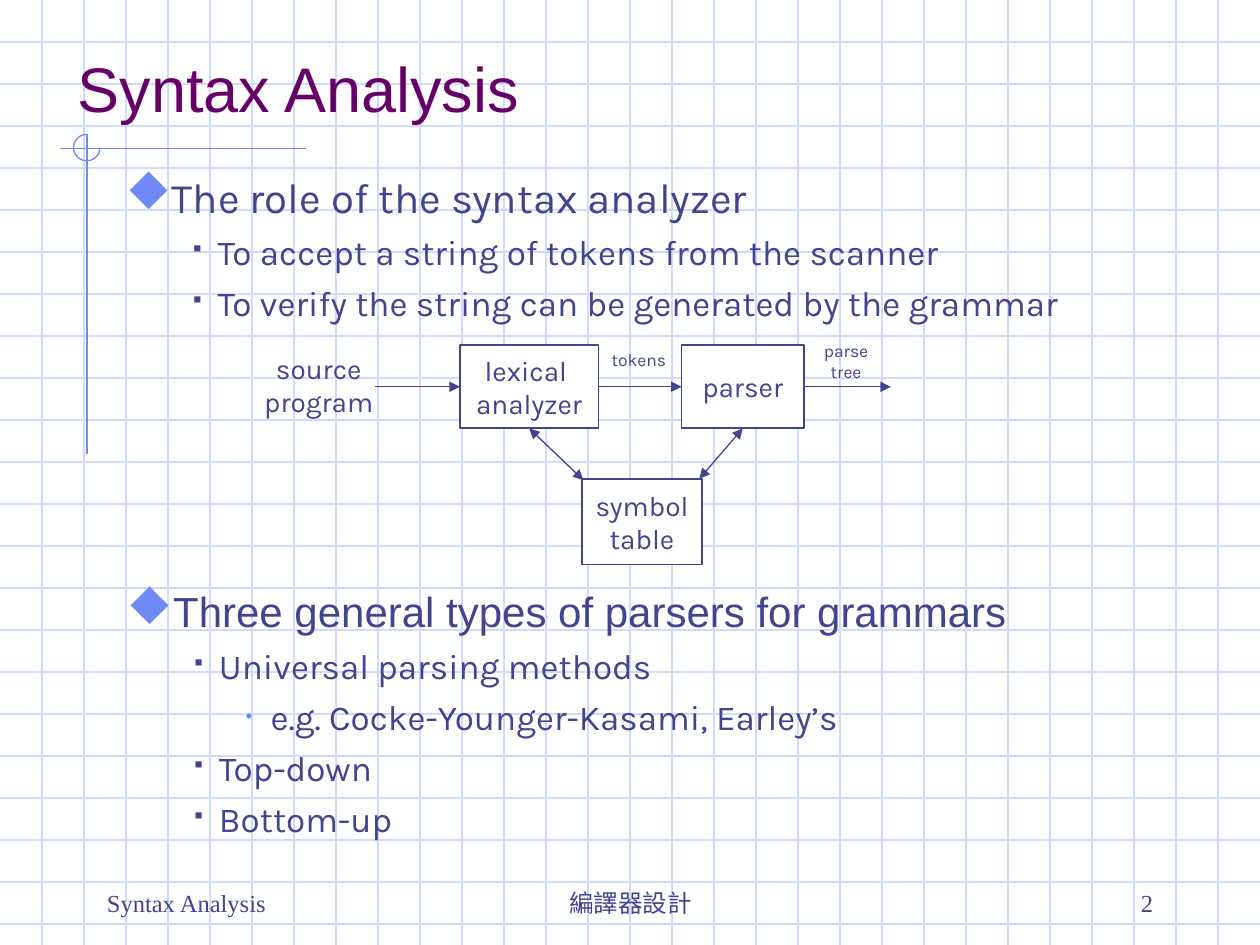
from typing import NamedTuple

from lxml import etree
from pptx import Presentation
from pptx.dml.color import RGBColor
from pptx.enum.shapes import MSO_CONNECTOR, MSO_SHAPE
from pptx.enum.text import MSO_ANCHOR, PP_ALIGN
from pptx.oxml.ns import qn
from pptx.util import Inches, Pt

STRAIGHT = MSO_CONNECTOR.STRAIGHT
RECTANGLE, ARC = MSO_SHAPE.RECTANGLE, MSO_SHAPE.ARC
TOP, MIDDLE, BOTTOM = MSO_ANCHOR.TOP, MSO_ANCHOR.MIDDLE, MSO_ANCHOR.BOTTOM
LEFT, CENTER, RIGHT = PP_ALIGN.LEFT, PP_ALIGN.CENTER, PP_ALIGN.RIGHT
SIDE_LEFT, SIDE_BOTTOM, SIDE_RIGHT = 1, 2, 3

COLORS = {"grid": "CFDBFD", "accent": "6F89F7", "ink": "40458C",
          "title": "660066", "paper": "FFFFFF"}
SANS, BODY, SERIF = "Arial", "Karla", "Times New Roman"
SYMBOLS = {"typeface": "Wingdings", "charset": "2"}
COLUMNS, ROWS = 30, 22.5
CELL = Inches(10) / COLUMNS

LEVELS = [
    {"size": 24, "before": 6, "bullet": "u", "face": SYMBOLS, "color": "accent",
     "percent": 110, "margin": 0.32, "hang": 0.32},
    {"size": 20, "before": 5, "bullet": "§", "face": SYMBOLS, "color": "ink",
     "percent": 60, "margin": 0.73, "hang": 0.2},
    {"size": 20, "before": 5, "bullet": "•", "face": {"typeface": SERIF}, "color": "accent",
     "percent": 60, "margin": 1.14, "hang": 0.2},
]


class Box(NamedTuple):
    """A region measured in columns and rows of the page grid."""
    left: float
    top: float
    width: float
    height: float

    def inner(self, left, top, width, height):
        """Return a region placed relative to this one."""
        return Box(self.left + left, self.top + top, width, height)


def cells(*values):
    """Turn grid units into slide lengths."""
    return [round(value * CELL) for value in values]


def color(name):
    """Look up a named colour."""
    return RGBColor.from_string(COLORS[name])


def style_text(para, size, face, ink="ink", align=LEFT):
    """Format a paragraph and its runs."""
    para.alignment = align
    for span in para.runs:
        span.font.size, span.font.name = Pt(size), face
        span.font.color.rgb = color(ink)


def add_text(page, box, text, size, face, ink="ink", align=LEFT, anchor=TOP):
    """Place a wrapped text box."""
    frame = page.shapes.add_textbox(*cells(*box)).text_frame
    frame.word_wrap, frame.vertical_anchor = True, anchor
    frame.text = text
    for para in frame.paragraphs:
        style_text(para, size, face, ink, align)
    return frame


def add_line(page, box, start, end, ink, ends=()):
    """Draw a straight line between two points of a region, with optional arrowheads."""
    points = [box.left + start[0], box.top + start[1], box.left + end[0], box.top + end[1]]
    line = page.shapes.add_connector(STRAIGHT, *cells(*points))
    line.line.color.rgb, line.line.width = color(ink), Pt(0.75)
    outline = line.line._get_or_add_ln()
    for name in ends:
        etree.SubElement(outline, qn(f"a:{name}"), type="triangle")
    etree.SubElement(line._element.spPr, qn("a:effectLst"))
    return line


def add_backdrop(page, box):
    """Draw the squared paper and the accent at its right edge."""
    add_line(page, box, (29, 0), (29, 7.75), "accent")
    for row in range(1, int(box.height) + 1):
        add_line(page, box, (0, row), (box.width, row), "grid")
    for column in range(1, int(box.width)):
        add_line(page, box, (column, 0), (column, box.height), "grid")


def add_crosshair(page, box):
    """Draw the crossing rules and the three-quarter ring."""
    add_line(page, box, (box.width, 0.33), (0, 0.33), "accent")
    add_line(page, box, (0.65, 0), (0.65, box.height), "accent")
    ring = page.shapes.add_shape(ARC, *cells(*box.inner(0.33, 0, 0.63, 0.63)))
    ring.adjustments[0], ring.adjustments[1] = 0, 162
    ring.shadow.inherit = False
    ring.fill.background()
    ring.line.color.rgb, ring.line.width = color("accent"), Pt(0.75)


def add_bullet(para, style):
    """Give a paragraph its indent and bullet."""
    props = para._p.get_or_add_pPr()
    props.set("marL", str(Inches(style["margin"])))
    props.set("indent", str(-Inches(style["hang"])))
    tint = etree.SubElement(props, qn("a:buClr"))
    etree.SubElement(tint, qn("a:srgbClr"), val=COLORS[style["color"]])
    etree.SubElement(props, qn("a:buSzPct"), val=str(style["percent"] * 1000))
    etree.SubElement(props, qn("a:buFont"), **style["face"])
    etree.SubElement(props, qn("a:buChar"), char=style["bullet"])


def add_outline(page, box, items, heading_face):
    """Write a bulleted outline from pairs of level and text."""
    frame = add_text(page, box, "\n".join(text for _, text in items), 20, BODY)
    for index, (para, (level, _)) in enumerate(zip(frame.paragraphs, items)):
        style = LEVELS[level]
        para.level = level
        add_bullet(para, style)
        style_text(para, style["size"], BODY if level else heading_face)
        if index:
            para.space_before = Pt(style["before"])


def add_node(page, box, text):
    """Draw one labelled box of the diagram."""
    node = page.shapes.add_shape(RECTANGLE, *cells(*box))
    node.shadow.inherit = False
    node.fill.solid()
    node.fill.fore_color.rgb = color("paper")
    node.line.color.rgb, node.line.width = color("ink"), Pt(1)
    frame = node.text_frame
    frame.word_wrap, frame.vertical_anchor = False, MIDDLE
    frame.text = text
    for para in frame.paragraphs:
        style_text(para, 16, BODY, align=CENTER)
    return node


def add_diagram(page, box):
    """Draw the flow from source program to parse tree."""
    lexer = add_node(page, box.inner(5.76, 0.27, 3.3, 1.98), "lexical \nanalyzer")
    parser = add_node(page, box.inner(11.04, 0.27, 2.91, 1.98), "parser")
    add_node(page, box.inner(8.67, 3.45, 2.85, 2.04), "symbol\ntable")
    labels = [("source program", 16, (0, 0.27, 4.8, 1.92)),
              ("tokens", 10, (8.79, 0.21, 2.46, 0.81)),
              ("parse tree", 10, (14.01, 0, 1.89, 1.32))]
    for text, size, place in labels:
        add_text(page, box.inner(*place), text, size, BODY, align=CENTER)

    one_way, two_way = ("tailEnd",), ("headEnd", "tailEnd")
    arrows = [
        ((3.75, 1.26), (5.76, 1.26), one_way, None, (lexer, SIDE_LEFT)),
        ((9.06, 1.26), (11.04, 1.26), one_way, (lexer, SIDE_RIGHT), (parser, SIDE_LEFT)),
        ((13.95, 1.26), (16.02, 1.26), one_way, (parser, SIDE_RIGHT), None),
        ((7.41, 2.25), (8.7, 3.48), two_way, (lexer, SIDE_BOTTOM), None),
        ((12.5, 2.25), (11.46, 3.45), two_way, (parser, SIDE_BOTTOM), None),
    ]
    for start, end, ends, source, target in arrows:
        arrow = add_line(page, box, start, end, "ink", ends)
        if source:
            arrow.begin_connect(*source)
        if target:
            arrow.end_connect(*target)


def add_footer(page, box):
    """Write the section, course and page number along the foot."""
    parts = [("編譯器設計", 8.01, 9.51, CENTER), ("2", 19.26, 6.24, RIGHT),
             ("Syntax Analysis", 0, 6.24, LEFT)]
    for text, left, width, align in parts:
        add_text(page, box.inner(left, 0, width, box.height), text, 14, SERIF,
                 align=align, anchor=BOTTOM)


def main():
    """Build the slide and save it."""
    deck = Presentation()
    deck.slide_width, deck.slide_height = cells(COLUMNS, ROWS)
    page = deck.slides.add_slide(deck.slide_layouts[6])
    add_backdrop(page, Box(0, 0, COLUMNS, ROWS))
    add_crosshair(page, Box(1.42, 3.2, 5.86, 7.62))
    add_text(page, Box(1.56, 1, 27.12, 2.13), "Syntax Analysis", 36, SANS, "title", anchor=BOTTOM)
    add_outline(page, Box(2.7, 3.93, 25.5, 4.71), [
        (0, "The role of the syntax analyzer"),
        (1, "To accept a string of tokens from the scanner"),
        (1, "To verify the string can be generated by the grammar")], BODY)
    add_diagram(page, Box(5.19, 7.95, 16.02, 5.49))
    add_outline(page, Box(2.73, 13.8, 25.5, 7.05), [
        (0, "Three general types of parsers for grammars"),
        (1, "Universal parsing methods"),
        (2, "e.g. Cocke-Younger-Kasami, Earley’s"),
        (1, "Top-down"),
        (1, "Bottom-up")], SANS)
    add_footer(page, Box(2.25, 20.5, 25.5, 1.5))
    deck.save("out.pptx")


if __name__ == "__main__":
    main()
